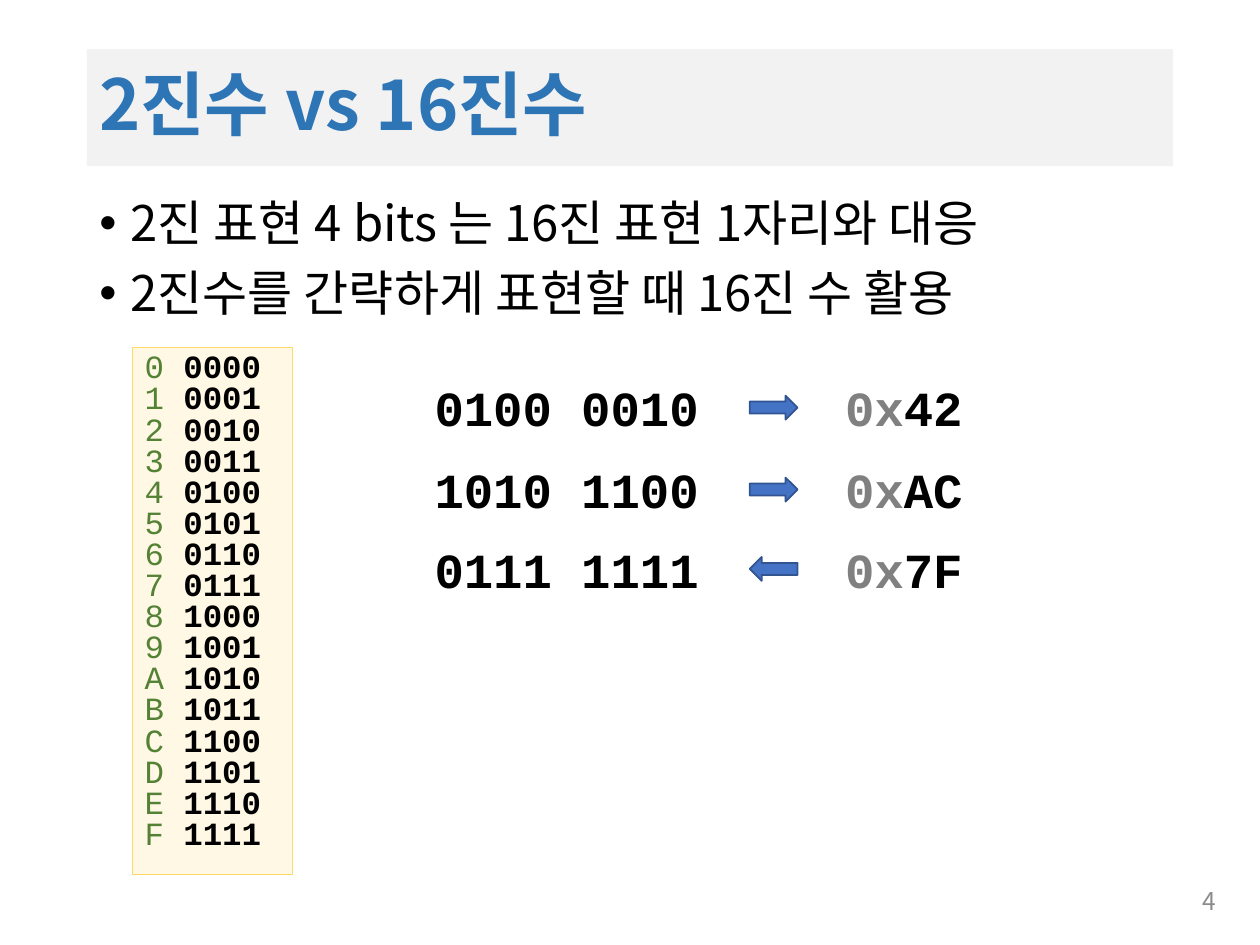
from lxml.etree import SubElement as Sub
from pptx import Presentation
from pptx.dml.color import RGBColor
from pptx.enum.shapes import MSO_SHAPE as Shape
from pptx.enum.text import MSO_ANCHOR as Anchor, PP_ALIGN as Align
from pptx.oxml.ns import qn
from pptx.util import Inches, Pt

COLS, ROWS = 100, 75
SANS, MONO = "Noto Sans CJK KR", "Courier New"
BLACK, BLUE, GREEN, GRAY = "000000", "2E75B6", "548235", "808080"


def color(code):
    return RGBColor.from_string(code)


def assign(target, values):
    for name, value in values.items():
        setattr(target, name, value)


class Deck:
    def __init__(self, width, height):
        self.prs = Presentation()
        assign(self.prs, {"slide_width": Inches(width), "slide_height": Inches(height)})
        self.slide = self.prs.slides.add_slide(self.prs.slide_layouts[6])

    def place(self, left, top, width, height):
        """Turn grid columns and rows into slide lengths."""
        col, row = self.prs.slide_width / COLS, self.prs.slide_height / ROWS
        return [round(n) for n in (left * col, top * row, width * col, height * row)]

    def shape(self, kind, box, fill, line=None, weight=1, alpha=None):
        item = self.slide.shapes.add_shape(kind, *self.place(*box))
        item.shadow.inherit = False
        item.fill.solid()
        item.fill.fore_color.rgb = color(fill)
        if alpha:
            tint = item._element.spPr.find(".//" + qn("a:srgbClr"))
            Sub(tint, qn("a:alpha"), val=str(alpha * 1000))
        if line:
            item.line.color.rgb = color(line)
            item.line.width = Pt(weight)
        else:
            item.line.fill.background()
        return item

    def box(self, box):
        return self.slide.shapes.add_textbox(*self.place(*box))

    def text(self, item, paras, font, size, anchor=Anchor.TOP, wrap=True,
             bullet=None, **layout):
        """Fill item with paragraphs, each a list of (text, colour, bold) runs."""
        frame = item.text_frame
        assign(frame, {"word_wrap": wrap, "vertical_anchor": anchor})
        for i, runs in enumerate(paras):
            para = frame.add_paragraph() if i else frame.paragraphs[0]
            assign(para, {"alignment": Align.LEFT, **layout})
            if bullet:
                props = para._p.get_or_add_pPr()
                props.set("marL", str(Inches(0.25)))
                props.set("indent", str(-Inches(0.25)))
                Sub(props, qn("a:buFont"), typeface="Arial")
                Sub(props, qn("a:buChar"), char=bullet)
            for words, tone, bold in runs:
                run = para.add_run()
                run.text = words
                assign(run.font, {"name": font, "size": Pt(size), "bold": bold})
                run.font.color.rgb = color(tone)
                Sub(run._r.get_or_add_rPr(), qn("a:ea"), typeface=font)


def main():
    deck = Deck(10, 7.5)

    title = deck.shape(Shape.RECTANGLE, (6.9, 3.9, 86.2, 9.3), "F2F2F2")
    deck.text(title, [[("2진수 vs 16진수", BLUE, True)]], SANS, 40,
              Anchor.MIDDLE, line_spacing=0.9)

    points = ["2진 표현 4 bits 는 16진 표현 1자리와 대응",
              "2진수를 간략하게 표현할 때 16진 수 활용"]
    deck.text(deck.box((6.9, 15.3, 86.2, 12.2)),
              [[(point, BLACK, False)] for point in points], SANS, 28,
              bullet="•", line_spacing=0.9, space_before=Pt(10))

    deck.text(deck.box((75, 69.5, 22.5, 4)), [[("4", "8C8C8C", False)]], SANS, 14,
              Anchor.MIDDLE, alignment=Align.RIGHT)

    codes = deck.shape(Shape.RECTANGLE, (10.5, 27.6, 12.7, 41.8), "FFF2CC",
                       "FFD966", 0.75, alpha=51)
    deck.text(codes, [[(f"{n:X} ", GREEN, False), (f"{n:04b}", BLACK, True)]
                      for n in range(16)], MONO, 18.5, line_spacing=0.8)

    pairs = [(29.5, "0100 0010", Shape.RIGHT_ARROW, "42"),
             (36, "1010 1100", Shape.RIGHT_ARROW, "AC"),
             (42.3, "0111 1111", Shape.LEFT_ARROW, "7F")]
    for top, bits, arrow, digits in pairs:
        deck.text(deck.box((33.5, top, 23.2, 5.7)), [[(bits, BLACK, True)]],
                  MONO, 28, wrap=False)
        deck.shape(arrow, (59.5, top + 1.9, 3.8, 1.9), "4472C4", "325491")
        deck.text(deck.box((66.1, top, 11.4, 5.7)),
                  [[("0x", GRAY, True), (digits, BLACK, True)]], MONO, 28, wrap=False)

    deck.prs.save("out.pptx")


if __name__ == "__main__":
    main()
